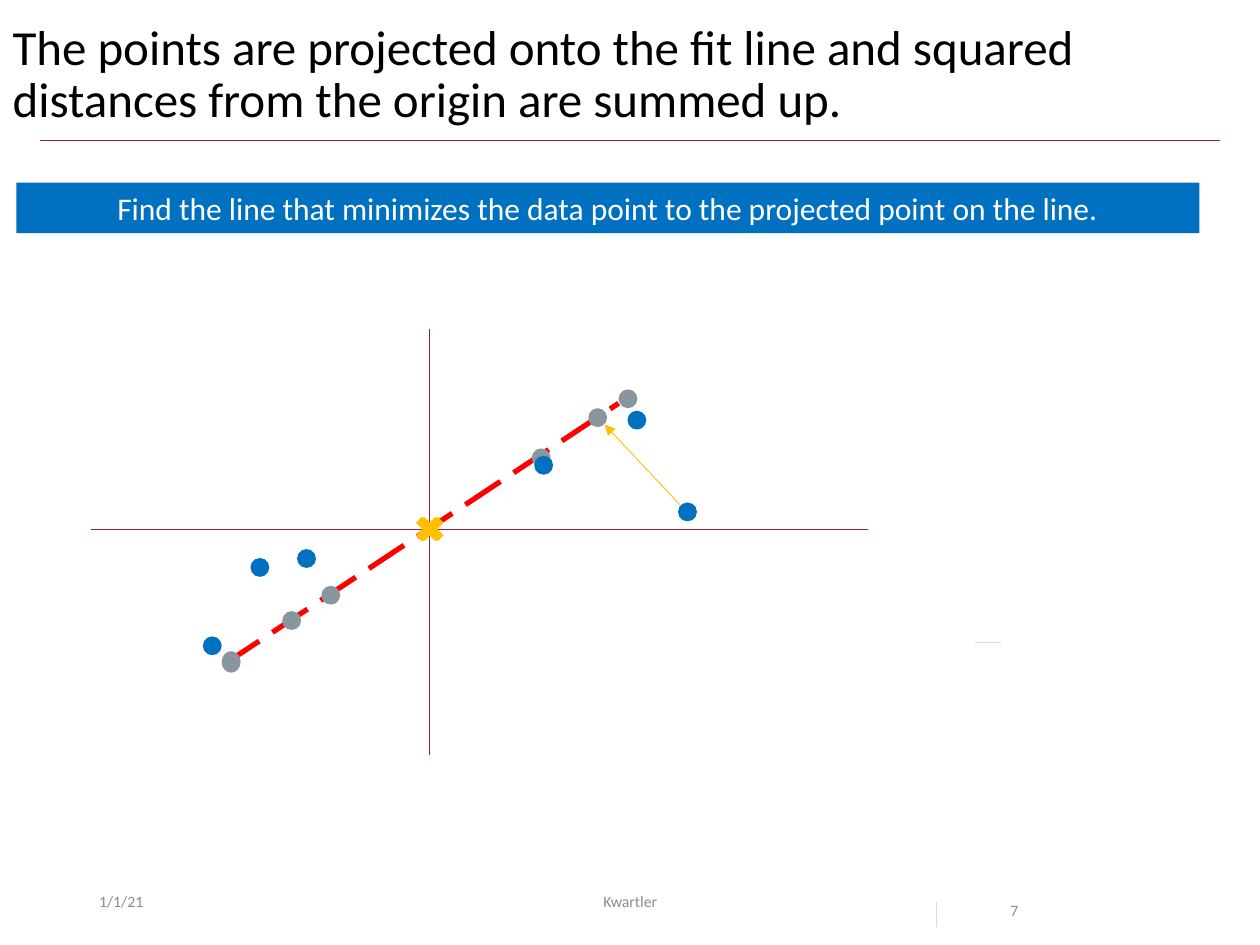
from lxml.etree import SubElement
from pptx import Presentation
from pptx.dml.color import RGBColor
from pptx.enum.dml import MSO_LINE_DASH_STYLE as Dash
from pptx.enum.shapes import MSO_CONNECTOR, MSO_SHAPE as Shape
from pptx.enum.text import MSO_ANCHOR as Anchor, MSO_AUTO_SIZE as AutoSize, PP_ALIGN as Align
from pptx.oxml.ns import qn
from pptx.util import Cm, Pt

BLACK = RGBColor(0x00, 0x00, 0x00)
WHITE = RGBColor(0xFF, 0xFF, 0xFF)
CRIMSON = RGBColor(0xA5, 0x1C, 0x30)
RED = RGBColor(0xFF, 0x00, 0x00)
BLUE = RGBColor(0x00, 0x70, 0xC0)
SLATE = RGBColor(0x89, 0x96, 0xA0)
GOLD = RGBColor(0xFF, 0xC0, 0x00)
FOOTER_GRAY = RGBColor(0x8C, 0x8C, 0x8C)
TICK_GRAY = RGBColor(0xD9, 0xD9, 0xD9)

DOT = 0.38
# Left, top and height of each dot, in centimetres
PROJECTED_DOTS = [(5.69, 12.32, DOT), (6.48, 11.81, DOT), (4.47, 13.13, 0.43),
                  (10.72, 9.04, DOT), (11.86, 8.23, DOT), (12.47, 7.85, DOT)]
DATA_DOTS = [(5.05, 11.25, DOT), (5.99, 11.07, DOT), (4.09, 12.83, DOT),
             (10.77, 9.19, DOT), (13.67, 10.13, DOT), (12.65, 8.28, DOT)]


def write_text(shape, text, size, color, frame_format, paragraph_format):
    frame = shape.text_frame
    frame.text = text
    paragraph = frame.paragraphs[0]
    font = paragraph.runs[0].font
    font_format = {"name": "Calibri", "size": Pt(size)}
    for target, values in ((frame, frame_format), (paragraph, paragraph_format),
                           (font, font_format)):
        for attribute, value in values.items():
            setattr(target, attribute, value)
    font.color.rgb = color


def place(shape, *box):
    for attribute, length in zip(("left", "top", "width", "height"), box):
        setattr(shape, attribute, Cm(length))


def add_line(shapes, start, end, color, width=0.5, dash=None, arrow=False):
    line = shapes.add_connector(MSO_CONNECTOR.STRAIGHT, *map(Cm, start + end))
    line.line.color.rgb = color
    line.line.width = Pt(width)
    if dash:
        line.line.dash_style = dash
    properties = line._element.spPr
    if arrow:
        SubElement(properties.find(qn("a:ln")), qn("a:tailEnd"), type="triangle")
    SubElement(properties, qn("a:effectLst"))


def add_solid(shapes, preset, box, color):
    solid = shapes.add_shape(preset, *map(Cm, box))
    solid.shadow.inherit = False
    solid.fill.solid()
    solid.fill.fore_color.rgb = color
    solid.line.fill.background()
    return solid


def add_dots(slide, dots, color, origin_left):
    """Group one set of dots with the cross that marks the origin."""
    group = slide.shapes.add_group_shape().shapes
    add_solid(group, Shape.MATH_MULTIPLY, (origin_left, 10.31, 0.76, 0.71), GOLD)
    for left, top, height in dots:
        add_solid(group, Shape.OVAL, (left, top, DOT, height), color)


def add_title(slide):
    title = slide.shapes.title
    place(title, 0, 0.33, 25.4, 3.18)
    write_text(title, "The points are projected onto the fit line and squared "
               "distances from the origin are summed up.", 28, BLACK,
               {"vertical_anchor": Anchor.TOP, "word_wrap": True, "auto_size": AutoSize.NONE},
               {"alignment": Align.LEFT, "line_spacing": 0.9})


def add_footer(slide):
    for text, left, width, anchor, paragraph_format in (
            ("1/1/21", 1.75, 5.72, Anchor.MIDDLE, {}),
            ("Kwartler", 8.41, 8.59, Anchor.MIDDLE, {"alignment": Align.CENTER}),
            ("7", 20.12, 2.39, Anchor.TOP, {"line_spacing": 2.0})):
        box = slide.shapes.add_textbox(Cm(left), Cm(17.65), Cm(width), Cm(1.02))
        write_text(box, text, 9, FOOTER_GRAY,
                   {"vertical_anchor": anchor, "word_wrap": True}, paragraph_format)


def add_axes(slide):
    axes = slide.shapes.add_group_shape().shapes
    add_line(axes, (8.66, 6.63), (8.66, 15.21), CRIMSON)
    add_line(axes, (1.83, 10.67), (17.5, 10.67), CRIMSON)


def add_banner(slide):
    banner = add_solid(slide.shapes, Shape.RECTANGLE, (0.33, 3.68, 23.85, 1.02), BLUE)
    write_text(banner, "Find the line that minimizes the data point to the "
               "projected point on the line.", 18, WHITE,
               {"word_wrap": True, "auto_size": AutoSize.SHAPE_TO_FIT_TEXT},
               {"alignment": Align.CENTER})


def main():
    deck = Presentation()
    deck.slide_width, deck.slide_height = Cm(25.4), Cm(19.05)
    slide = deck.slides.add_slide(deck.slide_layouts[5])
    shapes = slide.shapes

    add_line(shapes, (0.81, 2.84), (24.59, 2.84), CRIMSON)
    add_line(shapes, (4.52, 13.39), (12.47, 8.13), RED, 3, Dash.LONG_DASH)
    add_title(slide)
    add_footer(slide)
    add_axes(slide)
    add_dots(slide, PROJECTED_DOTS, SLATE, 8.26)
    add_banner(slide)
    add_dots(slide, DATA_DOTS, BLUE, 8.31)
    add_line(shapes, (13.72, 10.19), (12.19, 8.56), GOLD, arrow=True)
    add_line(shapes, (18.87, 18.19), (18.87, 18.69), TICK_GRAY)
    add_line(shapes, (19.66, 12.95), (20.17, 12.95), TICK_GRAY)

    deck.save("out.pptx")


if __name__ == "__main__":
    main()
